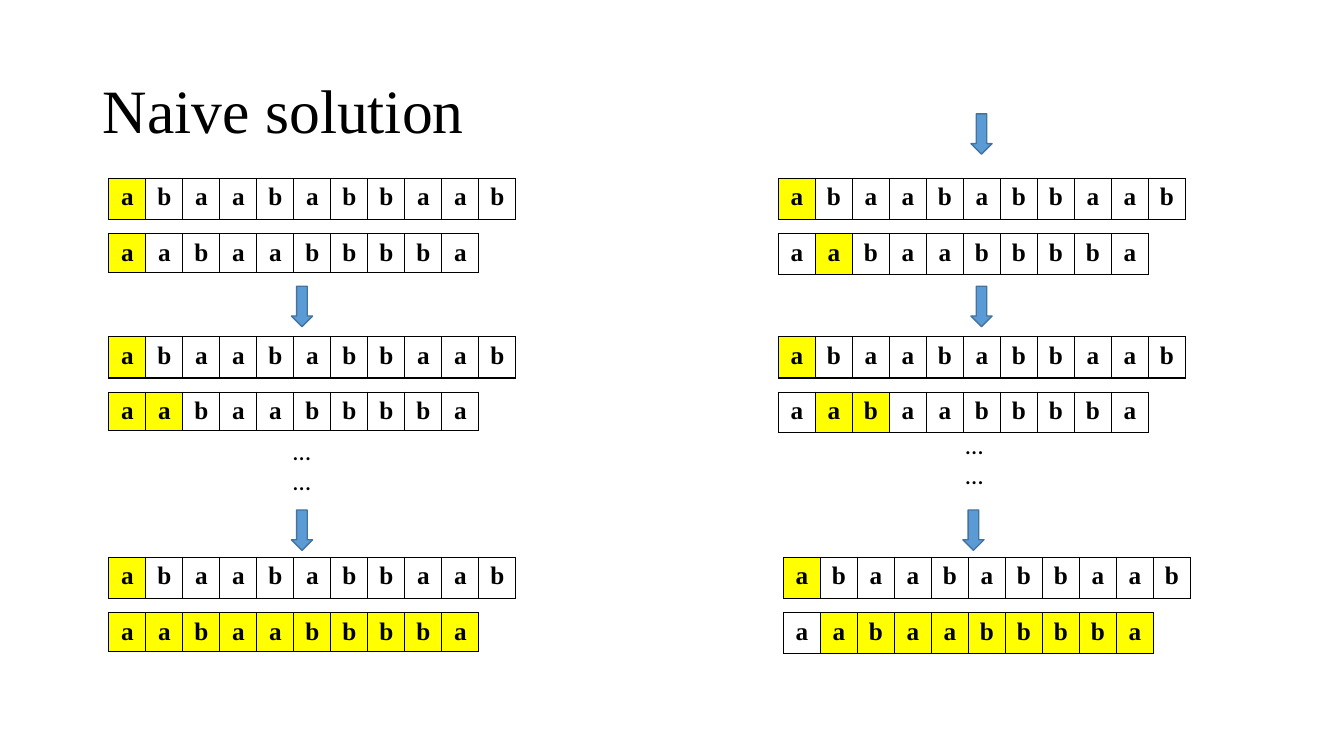
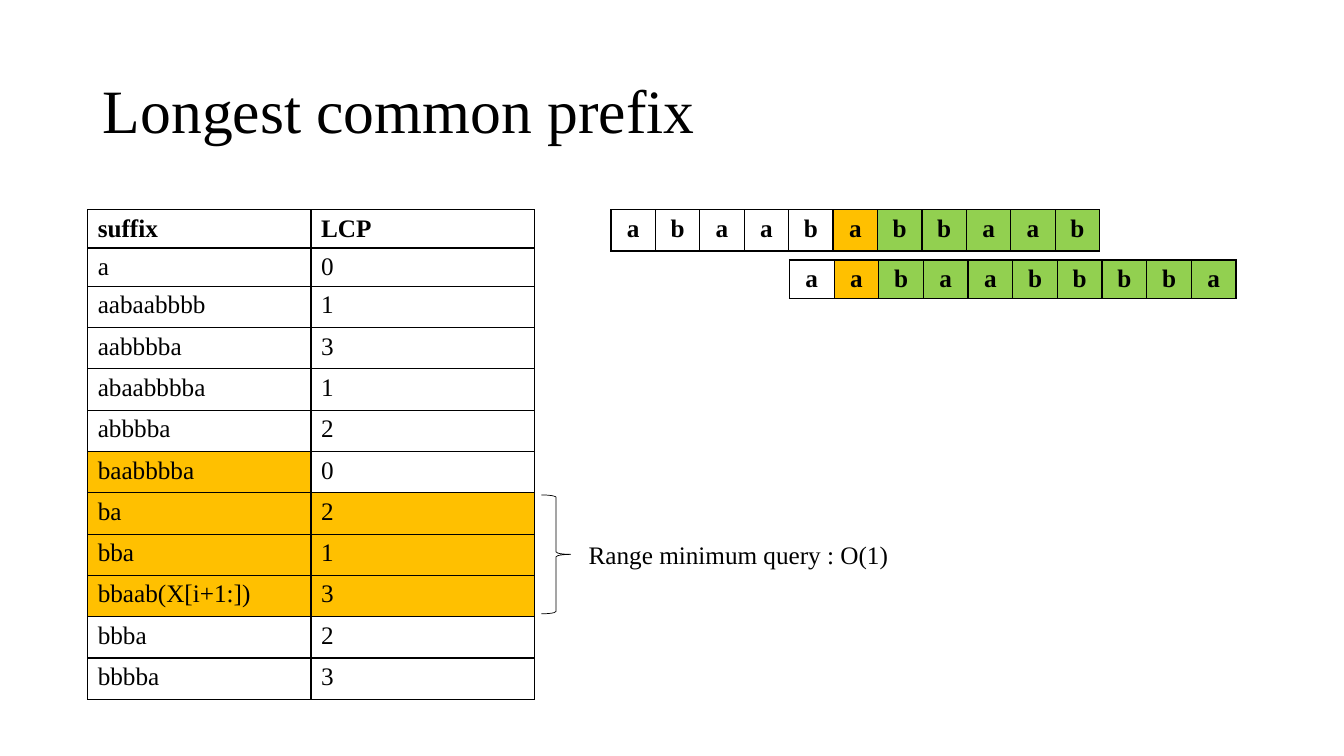
from pptx import Presentation
from pptx.dml.color import RGBColor
from pptx.enum.shapes import MSO_SHAPE
from pptx.enum.text import MSO_ANCHOR, MSO_AUTO_SIZE, PP_ALIGN
from pptx.oxml import parse_xml
from pptx.oxml.ns import nsdecls
from pptx.util import Emu, Pt

EMU_PER_PX = 9144
TEXT = "abaababbaab"
PATTERN = "aabaabbbba"


def px(n):
    return Emu(n * EMU_PER_PX)


def color(value):
    return RGBColor.from_string(value)


def write(tf, text, size=18, font="Times New Roman", fill="000000", bold=False,
          align=PP_ALIGN.LEFT, spacing=None):
    for i, line in enumerate(text.split("\n")):
        p = tf.paragraphs[0] if i == 0 else tf.add_paragraph()
        p.alignment = align
        p.line_spacing = spacing
        r = p.add_run()
        r.text = line
        r.font.size = Pt(size)
        r.font.name = font
        r.font.bold = bold
        r.font.color.rgb = color(fill)


class Deck:
    INK = "000000"
    ARROW_FILL = "5B9BD5"
    ARROW_LINE = "43739E"
    MARKS = {"y": "FFFF00", "o": "FFC000", "g": "92D050"}

    def __init__(self):
        self.prs = Presentation()
        self.prs.slide_width, self.prs.slide_height = px(1333), px(750)
        self.s = None

    def slide(self, title):
        self.s = self.prs.slides.add_slide(self.prs.slide_layouts[5])
        sp = self.s.shapes.title
        sp.left, sp.top, sp.width, sp.height = px(92), px(40), px(1150), px(145)
        tf = sp.text_frame
        tf.word_wrap = True
        tf.auto_size = MSO_AUTO_SIZE.NONE
        tf.vertical_anchor = MSO_ANCHOR.MIDDLE
        write(tf, title, size=44, spacing=0.9)

    def shape(self, kind, x, y, w, h, line, weight, fill=None):
        sp = self.s.shapes.add_shape(kind, px(x), px(y), px(w), px(h))
        sp.shadow.inherit = False
        if fill:
            sp.fill.solid()
            sp.fill.fore_color.rgb = color(fill)
        else:
            sp.fill.background()
        sp.line.color.rgb = color(line)
        sp.line.width = Pt(weight)

    def arrow(self, x, y):
        self.shape(MSO_SHAPE.DOWN_ARROW, x, y, 21, 40, self.ARROW_LINE, 1, self.ARROW_FILL)

    def brace(self, x, y, w, h):
        self.shape(MSO_SHAPE.RIGHT_BRACE, x, y, w, h, self.INK, 0.5)

    def label(self, x, y, w, h, text, **style):
        tf = self.s.shapes.add_textbox(px(x), px(y), px(w), px(h)).text_frame
        tf.word_wrap = True
        write(tf, text, **style)

    def cell(self, cell, text, mark, **style):
        tc_pr = cell._tc.get_or_add_tcPr()
        for side in "LRTB":
            tc_pr.append(parse_xml(
                f'<a:ln{side} {nsdecls("a")} w="12700"><a:solidFill>'
                f'<a:srgbClr val="{self.INK}"/></a:solidFill></a:ln{side}>'))
        if mark in self.MARKS:
            cell.fill.solid()
            cell.fill.fore_color.rgb = color(self.MARKS[mark])
        else:
            cell.fill.background()
        write(cell.text_frame, text, **style)

    def table(self, x, y, w, heights, rows, marks, header=False, **style):
        count = len(rows[0])
        table = self.s.shapes.add_table(
            len(rows), count, px(x), px(y), px(w), px(sum(heights))).table
        table.first_row = header
        table.horz_banding = False
        for column in table.columns:
            column.width = Emu(px(w) // count)
        for i, (height, row, mask) in enumerate(zip(heights, rows, marks)):
            table.rows[i].height = px(height)
            for j, (text, mark) in enumerate(zip(row, mask.ljust(count))):
                look = {"bold": header and i == 0, **style}
                self.cell(table.cell(i, j), text, mark, **look)

    def letters(self, x, y, w, h, word, marks):
        self.table(x, y, w, [h], [word], [marks], bold=True, align=PP_ALIGN.CENTER)


def naive_solution(deck):
    deck.slide("Naive solution")
    steps = [
        (108, 177, 38, "y"), (108, 334, 38, "yy"), (108, 553, 38, "y" * 10),
        (772, 177, 40, " y"), (772, 334, 40, " yy"), (777, 553, 40, " " + "y" * 9),
    ]
    for x, y, pattern_height, marks in steps:
        deck.letters(x, y, 404, 41, TEXT, "y")
        deck.letters(x, y + 55, 367, pattern_height, PATTERN, marks)
    for x, y in [(289, 284), (289, 506), (963, 113), (963, 284), (955, 506)]:
        deck.arrow(x, y)
    for x, y in [(281, 427), (948, 421)]:
        deck.label(x, y, 129, 71, "…\n…", font="Calibri")


def longest_common_prefix(deck):
    deck.slide("Longest common prefix")
    deck.letters(606, 208, 485, 41, TEXT, " " * 5 + "o" + "g" * 5)
    deck.letters(783, 258, 443, 38, PATTERN, " o" + "g" * 8)
    rows = [
        ("suffix", "LCP"), ("a", "0"), ("aabaabbbb", "1"), ("aabbbba", "3"),
        ("abaabbbba", "1"), ("abbbba", "2"), ("baabbbba", "0"), ("ba", "2"),
        ("bba", "1"), ("bbaab(X[i+1:])", "3"), ("bbba", "2"), ("bbbba", "3"),
    ]
    marks = [""] * 6 + ["o"] + ["oo"] * 3 + [""] * 2
    deck.table(87, 208, 443, [38] * 2 + [41] * 10, rows, marks, header=True)
    deck.brace(537, 491, 29, 118)
    deck.label(574, 530, 451, 40, "Range minimum query : O(1)")


def main():
    deck = Deck()
    naive_solution(deck)
    longest_common_prefix(deck)
    deck.prs.save("out.pptx")


if __name__ == "__main__":
    main()
